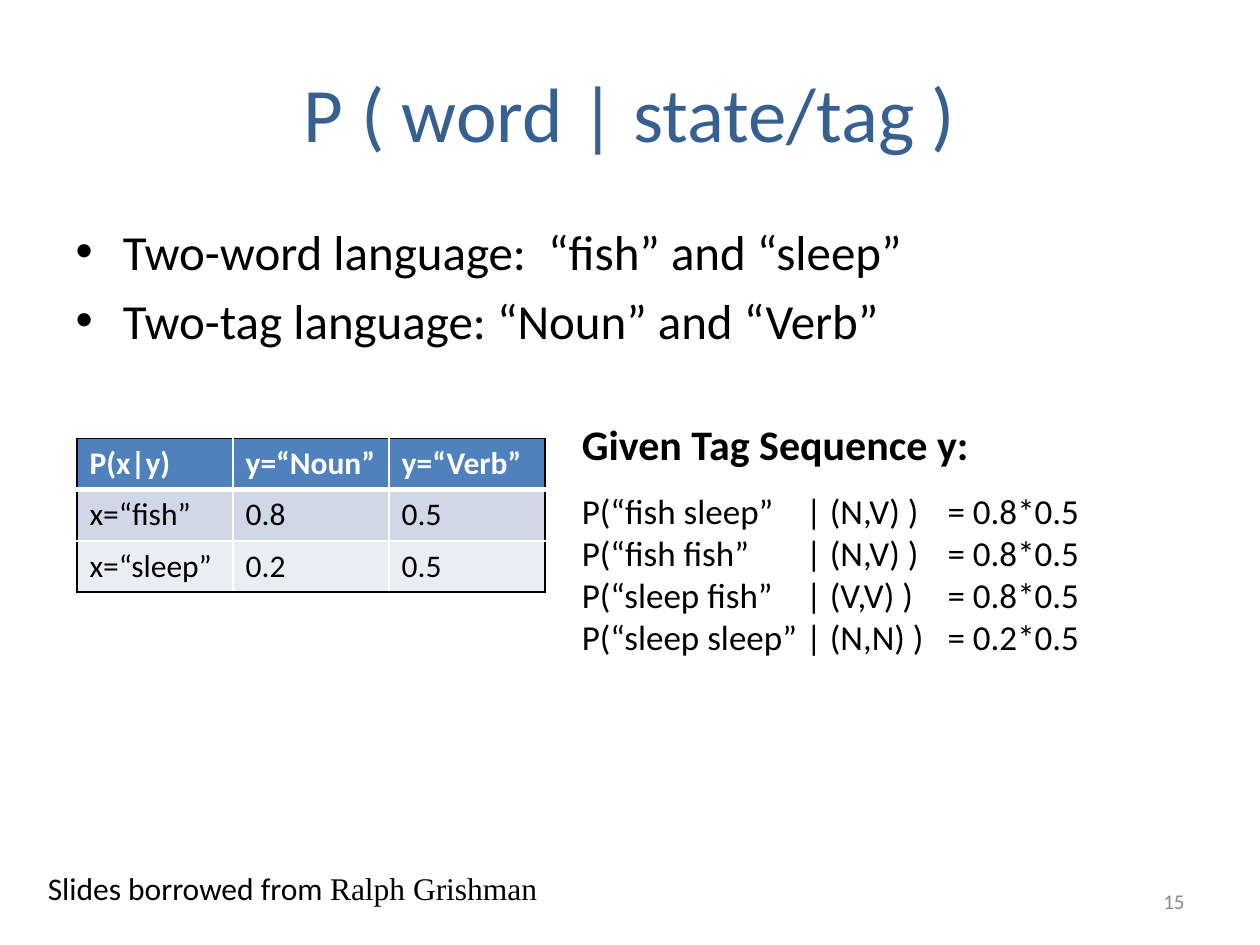
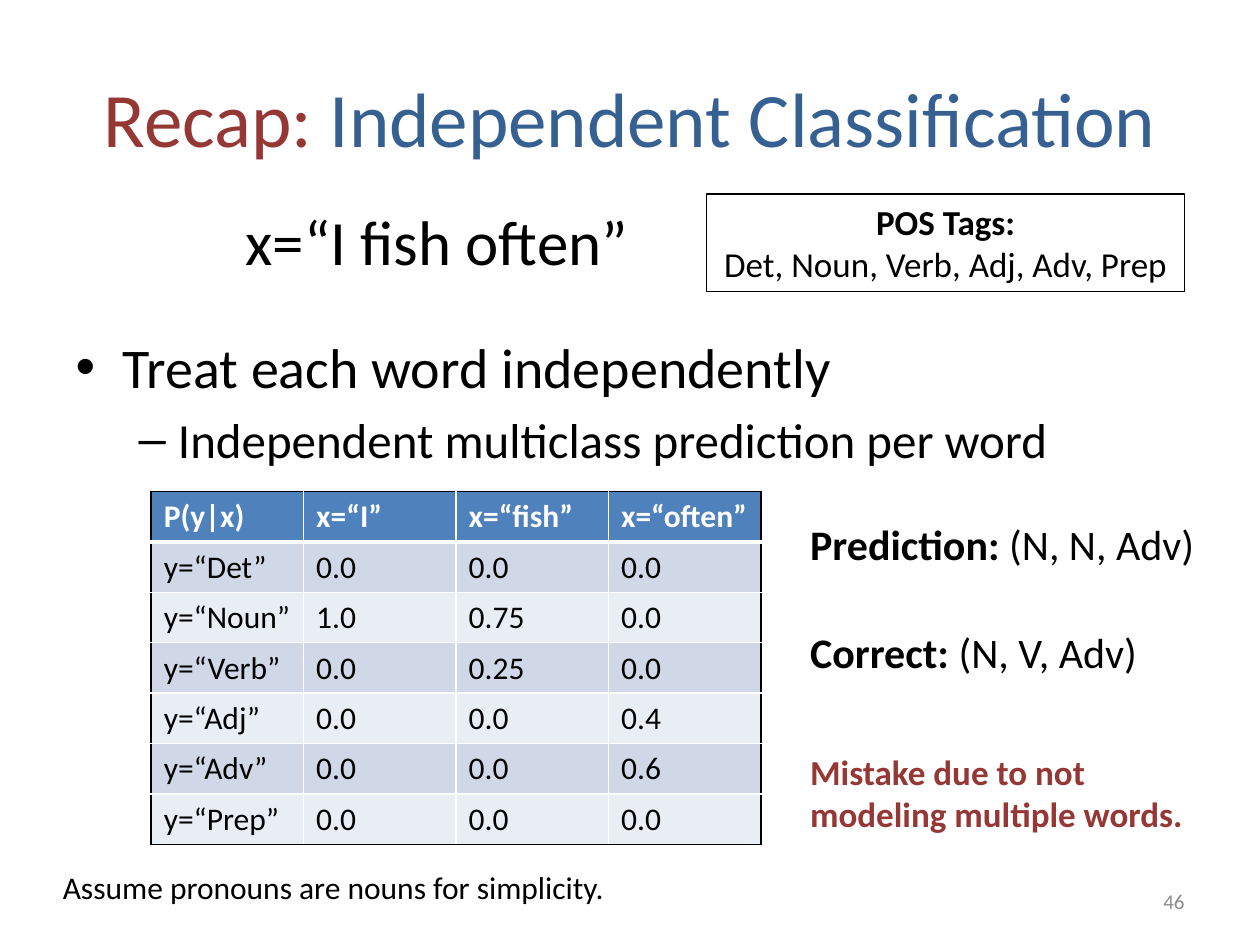
from collections import namedtuple
from dataclasses import dataclass

from lxml.etree import SubElement
from pptx import Presentation
from pptx.dml.color import RGBColor
from pptx.enum.shapes import MSO_SHAPE
from pptx.enum.text import MSO_ANCHOR, MSO_AUTO_SIZE, PP_ALIGN
from pptx.oxml.ns import qn
from pptx.util import Pt

Box = namedtuple("Box", "left top width height")


@dataclass(frozen=True)
class Theme:
    font: str = "Calibri"
    serif: str = "Times New Roman"
    ink: str = "000000"
    paper: str = "FFFFFF"
    blue: str = "376092"
    red: str = "953735"
    muted: str = "8C8C8C"
    header: str = "4F81BD"
    bands: tuple = ("D0D8E8", "E9EDF4")
    title: int = 44
    sentence: int = 36
    body: int = 32
    sub_body: int = 28
    heading: int = 24
    detail: int = 20
    small: int = 18
    number: int = 12


THEME = Theme()
NUMBER_BOX = Box(516, 500.4, 168, 28.8)


# Text helpers
def add_text(paragraph, text, size=THEME.small, color=THEME.ink, bold=False,
             font=THEME.font, align=None):
    """Append formatted text to a paragraph; a newline becomes a line break."""
    if align is not None:
        paragraph.alignment = align
    for index, line in enumerate(text.split("\n")):
        if index:
            paragraph.add_line_break()
        run = paragraph.add_run()
        run.text = line
        run.font.name = font
        run.font.size = Pt(size)
        run.font.bold = bold
        run.font.color.rgb = RGBColor.from_string(color)


def place(shape, box):
    shape.left, shape.top, shape.width, shape.height = map(Pt, box)


def add_text_box(slide, box, wrap=False):
    frame = slide.shapes.add_textbox(*map(Pt, box)).text_frame
    frame.word_wrap = wrap
    frame.auto_size = MSO_AUTO_SIZE.NONE if wrap else MSO_AUTO_SIZE.SHAPE_TO_FIT_TEXT
    return frame


def set_tab_stops(paragraph, *positions):
    tab_list = SubElement(paragraph._p.get_or_add_pPr(), qn("a:tabLst"))
    for position in positions:
        SubElement(tab_list, qn("a:tab"), pos=str(Pt(position)), algn="l")


# Parts found on both slides
def add_content_slide(presentation, title_box, title_parts, body_box, bullets, number):
    """Title parts are (text, colour); bullets are (text, level, size)."""
    slide = presentation.slides.add_slide(presentation.slide_layouts[1])
    title, body = slide.placeholders
    place(title, title_box)
    title.text_frame.vertical_anchor = MSO_ANCHOR.MIDDLE
    for text, color in title_parts:
        add_text(title.text_frame.paragraphs[0], text, size=THEME.title,
                 color=color, align=PP_ALIGN.CENTER)

    place(body, body_box)
    frame = body.text_frame
    for index, (text, level, size) in enumerate(bullets):
        paragraph = frame.add_paragraph() if index else frame.paragraphs[0]
        paragraph.level = level
        add_text(paragraph, text, size=size)

    number_frame = add_text_box(slide, NUMBER_BOX, wrap=True)
    number_frame.vertical_anchor = MSO_ANCHOR.MIDDLE
    add_text(number_frame.paragraphs[0], number, size=THEME.number,
             color=THEME.muted, align=PP_ALIGN.RIGHT)
    return slide


def set_border(cell, side, color, width):
    line = SubElement(cell._tc.get_or_add_tcPr(), qn(f"a:ln{side}"), w=str(Pt(width)))
    fill = SubElement(line, qn("a:solidFill"))
    SubElement(fill, qn("a:srgbClr"), val=color)


def add_probability_table(slide, box, rows):
    """Banded table: black outer frame, white inner rules, thick rule below header."""
    last_row, last_column = len(rows) - 1, len(rows[0]) - 1
    table = slide.shapes.add_table(len(rows), len(rows[0]), *map(Pt, box)).table
    for column in table.columns:
        column.width = Pt(box.width / len(rows[0]))
    for row in table.rows:
        row.height = Pt(box.height / len(rows))

    for r, values in enumerate(rows):
        for c, value in enumerate(values):
            cell = table.cell(r, c)
            outer_sides = {"L": c == 0, "R": c == last_column,
                           "T": r == 0, "B": r == last_row}
            for side, is_outer in outer_sides.items():
                below_header = (side, r) in (("B", 0), ("T", 1))
                set_border(cell, side, THEME.ink if is_outer else THEME.paper,
                           3 if below_header else 1)
            cell.fill.solid()
            fill = THEME.bands[(r - 1) % 2] if r else THEME.header
            cell.fill.fore_color.rgb = RGBColor.from_string(fill)
            add_text(cell.text_frame.paragraphs[0], value, bold=r == 0,
                     color=THEME.ink if r else THEME.paper)


# Regions of the word-given-tag slide
def add_sequence_examples(slide, box):
    frame = add_text_box(slide, box, wrap=True)
    add_text(frame.paragraphs[0], "Given Tag Sequence y:", size=THEME.heading, bold=True)
    examples = [
        ("fish sleep", "(N,V)", "0.8*0.5"),
        ("fish fish", "(N,V)", "0.8*0.5"),
        ("sleep fish", "(V,V)", "0.8*0.5"),
        ("sleep sleep", "(N,N)", "0.2*0.5"),
    ]
    for index, (words, tags, product) in enumerate(examples):
        paragraph = frame.add_paragraph()
        paragraph.space_before = Pt(0 if index else 12)
        set_tab_stops(paragraph, 128, 209)
        add_text(paragraph, f"P(“{words}”\t| {tags} )\t= {product}", size=THEME.detail)


def add_source_note(slide, box):
    paragraph = add_text_box(slide, box).paragraphs[0]
    add_text(paragraph, "Slides borrowed from ")
    add_text(paragraph, "Ralph Grishman", font=THEME.serif)


def build_word_given_tag(presentation):
    slide = add_content_slide(
        presentation,
        Box(36, 21.6, 648, 85), [("P ( word | state/tag )", THEME.blue)],
        Box(36, 123, 648, 359),
        [("Two-word language:  “fish” and “sleep”", 0, THEME.sub_body),
         ("Two-tag language: “Noun” and “Verb”", 0, THEME.sub_body)],
        "15")
    add_source_note(slide, Box(20.2, 493.2, 303.8, 29))
    add_probability_table(slide, Box(44, 250.6, 267.6, 87.6), [
        ("P(x|y)", "y=“Noun”", "y=“Verb”"),
        ("x=“fish”", "0.8", "0.5"),
        ("x=“sleep”", "0.2", "0.5"),
    ])
    add_sequence_examples(slide, Box(325.4, 235.4, 304, 170))


# Regions of the recap slide
def add_sentence_and_tags(slide, box):
    sentence = add_text_box(slide, Box(box.left, box.top + 1.4, 235.4, 51))
    add_text(sentence.paragraphs[0], "x=“I fish often”", size=THEME.sentence)

    tags_width = 272.9
    tags_box = Box(box.left + box.width - tags_width, box.top, tags_width, box.height)
    tags = slide.shapes.add_shape(MSO_SHAPE.RECTANGLE, *map(Pt, tags_box))
    tags.shadow.inherit = False
    tags.fill.background()
    tags.line.color.rgb = RGBColor.from_string(THEME.ink)
    tags.line.width = Pt(0.75)
    frame = tags.text_frame
    frame.word_wrap = False
    add_text(frame.paragraphs[0], "POS Tags:", size=THEME.detail, bold=True,
             align=PP_ALIGN.CENTER)
    add_text(frame.add_paragraph(), "Det, Noun, Verb, Adj, Adv, Prep",
             size=THEME.detail, align=PP_ALIGN.CENTER)


def add_findings(slide, box):
    answers = [("Prediction: ", "(N, N, Adv)", 0, 236.2),
               ("Correct: ", "(N, V, Adv)", 61.2, 205.2)]
    for label, answer, offset, width in answers:
        answer_box = Box(box.left, box.top + offset, width, 36.3)
        paragraph = add_text_box(slide, answer_box).paragraphs[0]
        add_text(paragraph, label, size=THEME.heading, bold=True)
        add_text(paragraph, answer, size=THEME.heading)

    mistake_height = 55.7
    mistake_box = Box(box.left, box.top + box.height - mistake_height,
                      229.7, mistake_height)
    add_text(add_text_box(slide, mistake_box).paragraphs[0],
             "Mistake due to not \nmodeling multiple words.",
             size=THEME.detail, color=THEME.red, bold=True)


def build_recap(presentation):
    slide = add_content_slide(
        presentation,
        Box(36, 21.6, 648, 90),
        [("Recap: ", THEME.red), ("Independent Classification", THEME.blue)],
        Box(36, 186.4, 648, 296),
        [("Treat each word independently", 0, THEME.body),
         ("Independent multiclass prediction per word", 1, THEME.sub_body)],
        "46")
    add_sentence_and_tags(slide, Box(133.2, 110.9, 543.6, 55.7))
    note = add_text_box(slide, Box(28.8, 492.5, 329, 29))
    add_text(note.paragraphs[0], "Assume pronouns are nouns for simplicity.")
    add_probability_table(slide, Box(86.4, 280.8, 348.5, 201.6), [
        ("P(y|x)", "x=“I”", "x=“fish”", "x=“often”"),
        ("y=“Det”", "0.0", "0.0", "0.0"),
        ("y=“Noun”", "1.0", "0.75", "0.0"),
        ("y=“Verb”", "0.0", "0.25", "0.0"),
        ("y=“Adj”", "0.0", "0.0", "0.4"),
        ("y=“Adv”", "0.0", "0.0", "0.6"),
        ("y=“Prep”", "0.0", "0.0", "0.0"),
    ])
    add_findings(slide, Box(455.8, 293, 236.2, 188.2))


def main():
    presentation = Presentation()
    presentation.slide_width, presentation.slide_height = Pt(720), Pt(540)
    build_word_given_tag(presentation)
    build_recap(presentation)
    presentation.save("out.pptx")


if __name__ == "__main__":
    main()
